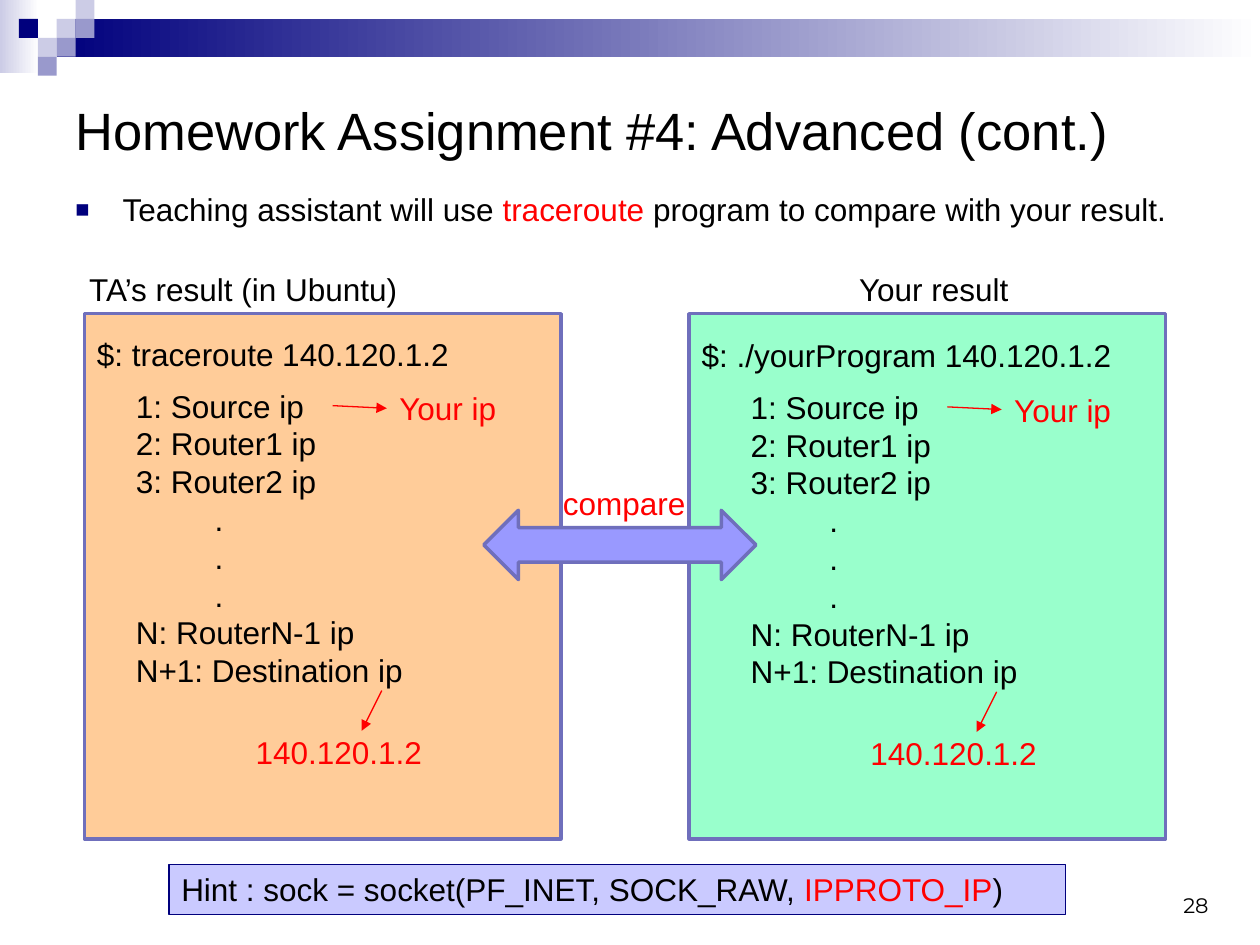
"""Build the homework slide that compares two traceroute results."""
from dataclasses import dataclass

from lxml import etree
from pptx import Presentation
from pptx.dml.color import RGBColor
from pptx.enum.shapes import MSO_CONNECTOR, MSO_SHAPE
from pptx.enum.text import MSO_ANCHOR, PP_ALIGN
from pptx.oxml.ns import qn
from pptx.util import Pt

RECT, DOUBLE_ARROW = MSO_SHAPE.RECTANGLE, MSO_SHAPE.LEFT_RIGHT_ARROW
STRAIGHT = MSO_CONNECTOR.STRAIGHT
TOP, MIDDLE, BOTTOM = MSO_ANCHOR.TOP, MSO_ANCHOR.MIDDLE, MSO_ANCHOR.BOTTOM
LEFT, RIGHT = PP_ALIGN.LEFT, PP_ALIGN.RIGHT

BLACK, RED, NAVY, WHITE = "000000", "FF0000", "00007D", "FFFFFF"
PALE, MID, EDGE = "CCCCE6", "9999CC", "6F6FBC"
TILE = 10.8
LINE_H = 28.8
DOT = "."
HOPS = ["1: Source ip", "2: Router1 ip", "3: Router2 ip", DOT, DOT, DOT,
        "N: RouterN-1 ip", "N+1: Destination ip"]
TILES = [(3, 1, PALE), (4, 0, PALE), (4, 1, MID), (2, 2, PALE),
         (1, 1, NAVY), (3, 2, MID), (2, 3, MID)]


@dataclass
class Box:
    """Position and size in points."""
    x: float
    y: float
    w: float
    h: float

    def emu(self) -> list:
        """Return the four lengths for python-pptx."""
        return [Pt(v) for v in (self.x, self.y, self.w, self.h)]


@dataclass
class Result:
    """One terminal panel with its heading and its route list."""
    heading: str
    heading_x: float
    command: str
    fill: str
    x: float
    list_x: float
    dy: float


RESULTS = [
    Result("TA’s result (in Ubuntu)", 43.9, "$: traceroute 140.120.1.2",
           "FFCC99", 48.24, 70.56, 0),
    Result("Your result", 483.84, "$: ./yourProgram 140.120.1.2",
           "99FFCC", 393.84, 421.92, 0.72),
]


def rgb(value: str) -> RGBColor:
    """Turn a hex string into a colour."""
    return RGBColor.from_string(value)


def add_block(s, box: Box, fill: str, line: str = "", width: float = 2,
              kind=RECT, fade: bool = False):
    """Draw a flat shape, optionally outlined or fading to white."""
    sp = s.shapes.add_shape(kind, *box.emu())
    sp.shadow.inherit = False
    if fade:
        sp.fill.gradient()
        sp.fill.gradient_angle = 0
        for stop, color in zip(sp.fill.gradient_stops, (fill, WHITE)):
            stop.color.rgb = rgb(color)
    else:
        sp.fill.solid()
        sp.fill.fore_color.rgb = rgb(fill)
    if line:
        sp.line.color.rgb = rgb(line)
        sp.line.width = Pt(width)
    else:
        sp.line.fill.background()
    return sp


def add_run(p, text: str, color: str = BLACK, size: float = 18,
            font: str = "Arial") -> None:
    """Append a formatted run to a paragraph."""
    r = p.add_run()
    r.text = text
    for name, value in {"size": Pt(size), "name": font}.items():
        setattr(r.font, name, value)
    r.font.color.rgb = rgb(color)


def write(sp, runs: list, anchor=TOP, align=LEFT, **style):
    """Fill a shape's first paragraph with (text, colour) runs."""
    tf = sp.text_frame
    for name, value in {"word_wrap": True, "vertical_anchor": anchor}.items():
        setattr(tf, name, value)
    p = tf.paragraphs[0]
    p.alignment = align
    for text, color in runs:
        add_run(p, text, color, **style)
    return p


def add_text(s, box: Box, text: str, color: str = BLACK, **style):
    """Add a text box with a single run."""
    sp = s.shapes.add_textbox(*box.emu())
    write(sp, [(text, color)], **style)
    return sp


def add_arrow(s, x1: float, y1: float, x2: float, y2: float):
    """Draw a thin red arrow."""
    cx = s.shapes.add_connector(STRAIGHT, *[Pt(v) for v in (x1, y1, x2, y2)])
    cx.line.color.rgb = rgb(RED)
    cx.line.width = Pt(0.75)
    etree.SubElement(cx.line._get_or_add_ln(), qn("a:tailEnd"), type="triangle")
    etree.SubElement(cx._element.spPr, qn("a:effectLst"))
    return cx


def add_bullet(p, indent: float) -> None:
    """Give a paragraph a hanging navy square bullet."""
    pPr = p._p.get_or_add_pPr()
    pPr.set("marL", str(Pt(indent)))
    pPr.set("indent", str(-Pt(indent)))
    color = etree.SubElement(pPr, qn("a:buClr"))
    etree.SubElement(color, qn("a:srgbClr"), val=NAVY)
    etree.SubElement(pPr, qn("a:buSzPct"), val="75000")
    etree.SubElement(pPr, qn("a:buFont"), typeface="Arial")
    etree.SubElement(pPr, qn("a:buChar"), char="■")


def add_hops(s, x: float, y: float) -> None:
    """List the hops of the route, with the dots indented."""
    tf = s.shapes.add_textbox(*Box(x, y, 187.2, 223.2).emu()).text_frame
    tf.word_wrap = True
    for i, hop in enumerate(HOPS):
        p = tf.add_paragraph() if i else tf.paragraphs[0]
        if hop == DOT:
            p._p.get_or_add_pPr().set("marL", str(Pt(45)))
        add_run(p, hop)


def add_result(s, res: Result) -> None:
    """Write one result's heading, command, hops and red remarks."""
    x, dy = res.list_x, res.dy
    add_text(s, Box(res.heading_x, 150.5, 260, LINE_H), res.heading)
    add_text(s, Box(res.x, 187.9 + dy, 298, LINE_H), res.command)
    add_hops(s, x, 217.4 + dy)
    add_arrow(s, x + 147.6, 394.6 + dy, x + 136.1, 417.6 + dy)
    add_text(s, Box(x + 68.4, 415.4 + dy, 118.8, LINE_H), "140.120.1.2", RED)
    remark = add_text(s, Box(x + 150.5, 218.9 + dy, 118.8, LINE_H),
                      "Your ip", RED)
    cx = add_arrow(s, x + 119.5, 231.8 + dy, x + 150.5, 233.3 + dy)
    cx.end_connect(remark, 1)


def add_banner(s) -> None:
    """Draw the fading bars and the tile pattern at the top."""
    add_block(s, Box(0, 0, 22.3, 41.8), PALE, fade=True)
    add_block(s, Box(3 * TILE, TILE, 720 - 3 * TILE, 2 * TILE), NAVY, fade=True)
    for col, row, color in TILES:
        add_block(s, Box(col * TILE, row * TILE, TILE, TILE), color)


def main() -> None:
    """Build and save the slide."""
    prs = Presentation()
    prs.slide_width, prs.slide_height = Pt(720), Pt(540)
    s = prs.slides.add_slide(prs.slide_layouts[6])
    add_banner(s)
    add_text(s, Box(36, 36, 648, 75.6), "Homework Assignment #4: Advanced (cont.)",
             anchor=MIDDLE, size=30)
    add_text(s, Box(529.9, 491.8, 167.8, 36), "28", anchor=BOTTOM,
             align=RIGHT, size=12, font="Montserrat")
    task = s.shapes.add_textbox(*Box(36, 105.1, 648, 34.6).emu())
    p = write(task, [("Teaching assistant will use ", BLACK),
                     ("traceroute ", RED),
                     ("program to compare with your result.", BLACK)])
    add_bullet(p, 27)
    for res in RESULTS:
        add_block(s, Box(res.x, 179.3, 272.2, 300.2), res.fill, EDGE)
    for res in RESULTS:
        add_result(s, res)
    add_block(s, Box(276.5, 291.6, 155.5, 39.6), "9999FF", EDGE,
              kind=DOUBLE_ARROW)
    add_text(s, Box(314.6, 272.9, 113, LINE_H), "compare", RED)
    hint = add_block(s, Box(96.5, 493.9, 512.6, LINE_H), "CACAFF", NAVY, 0.75)
    write(hint, [("Hint : sock = socket(PF_INET, SOCK_RAW, ", BLACK),
                 ("IPPROTO_IP", RED), (")", BLACK)])
    prs.save("out.pptx")


if __name__ == "__main__":
    main()
